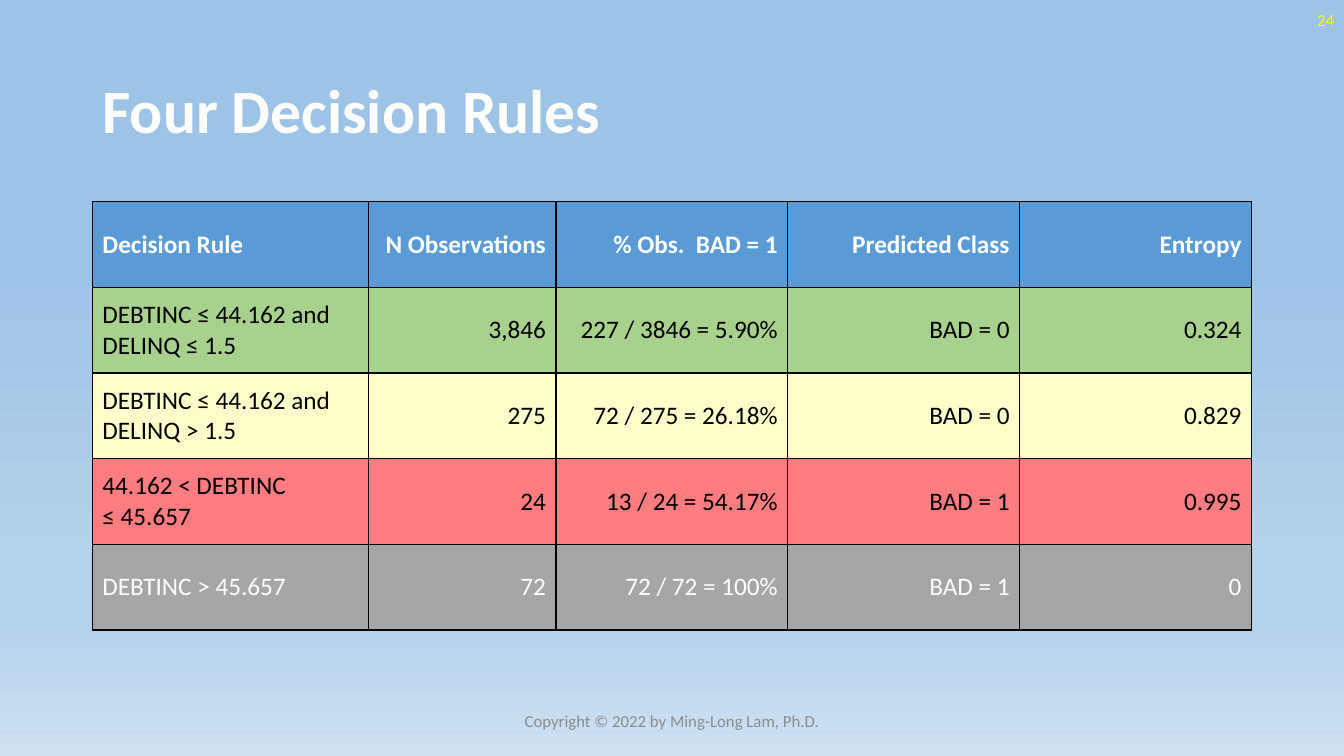
from lxml import etree
from pptx import Presentation
from pptx.dml.color import RGBColor
from pptx.enum.text import MSO_ANCHOR, PP_ALIGN
from pptx.oxml.ns import qn
from pptx.util import Pt

LEFT, CENTER, RIGHT = PP_ALIGN.LEFT, PP_ALIGN.CENTER, PP_ALIGN.RIGHT
MIDDLE = MSO_ANCHOR.MIDDLE
FONT = "Calibri"

WHITE = RGBColor(0xFF, 0xFF, 0xFF)
BLACK = RGBColor(0x00, 0x00, 0x00)
BLUE = RGBColor(0x5B, 0x9B, 0xD5)
GREEN = RGBColor(0xA9, 0xD1, 0x8E)
CREAM = RGBColor(0xFF, 0xFF, 0xCC)
RED = RGBColor(0xFF, 0x7C, 0x80)
GRAY = RGBColor(0xA6, 0xA6, 0xA6)
FOOTER_GRAY = RGBColor(0x8C, 0x8C, 0x8C)
YELLOW = RGBColor(0xFF, 0xFF, 0x00)
SKY = RGBColor(0x9D, 0xC3, 0xE6)
PALE_SKY = RGBColor(0xB5, 0xD2, 0xEC)
HORIZON = RGBColor(0xCE, 0xE1, 0xF2)
BACKGROUND_STOPS = [(35, SKY), (74, PALE_SKY), (83, PALE_SKY), (100, HORIZON)]

COLUMN_WIDTHS = [197.3, 133.9, 165.6, 165.6, 165.6]
# Each row: fill, text colour, cell texts (a line break starts a paragraph)
RULES = [
    (BLUE, WHITE, ["Decision Rule", "N Observations", "% Obs.  BAD = 1",
                   "Predicted Class", "Entropy"]),
    (GREEN, BLACK, ["DEBTINC ≤ 44.162 and DELINQ ≤ 1.5", "3,846",
                    "227 / 3846 = 5.90%", "BAD = 0", "0.324"]),
    (CREAM, BLACK, ["DEBTINC ≤ 44.162 and DELINQ > 1.5", "275",
                    "72 / 275 = 26.18%", "BAD = 0", "0.829"]),
    (RED, BLACK, ["44.162 < DEBTINC\n≤ 45.657", "24",
                  "13 / 24 = 54.17%", "BAD = 1", "0.995"]),
    (GRAY, WHITE, ["DEBTINC > 45.657", "72", "72 / 72 = 100%", "BAD = 1", "0"]),
]


def write_text(text_frame, text, size, color, alignment=LEFT, bold=False):
    for index, line in enumerate(text.split("\n")):
        paragraph = text_frame.add_paragraph() if index else text_frame.paragraphs[0]
        paragraph.alignment = alignment
        run = paragraph.add_run()
        run.text = line
        run.font.name = FONT
        run.font.size = Pt(size)
        run.font.bold = bold
        run.font.color.rgb = color


def paint_background(slide):
    fill = slide.background.fill
    fill.gradient()
    fill.gradient_angle = 270
    stop_list = slide.element.find(".//" + qn("a:gsLst"))
    for stop in list(stop_list):
        stop_list.remove(stop)
    for percent, color in BACKGROUND_STOPS:
        stop = etree.SubElement(stop_list, qn("a:gs"), pos=str(percent * 1000))
        etree.SubElement(stop, qn("a:srgbClr"), val=str(color))


def add_title(slide, text, left, top, width, height):
    title = slide.shapes.title
    title.left, title.top, title.width, title.height = map(Pt, (left, top, width, height))
    title.text_frame.vertical_anchor = MIDDLE
    write_text(title.text_frame, text, 44, WHITE, bold=True)
    title.text_frame.paragraphs[0].line_spacing = 0.9


def add_label(slide, text, color, alignment, left, top, width, height):
    label = slide.shapes.add_textbox(Pt(left), Pt(top), Pt(width), Pt(height))
    label.text_frame.word_wrap = True
    label.text_frame.vertical_anchor = MIDDLE
    write_text(label.text_frame, text, 12, color, alignment)


def add_borders(cell):
    properties = cell._tc.get_or_add_tcPr()
    for side in ("a:lnL", "a:lnR", "a:lnT", "a:lnB"):
        line = etree.SubElement(properties, qn(side), w=str(Pt(1)))
        fill = etree.SubElement(line, qn("a:solidFill"))
        etree.SubElement(fill, qn("a:srgbClr"), val=str(BLACK))


def add_rule_table(slide, left, top, width, height):
    table = slide.shapes.add_table(len(RULES), len(COLUMN_WIDTHS), Pt(left), Pt(top),
                                   Pt(width), Pt(height)).table
    table.horz_banding = False
    for column, column_width in zip(table.columns, COLUMN_WIDTHS):
        column.width = Pt(column_width)
    for row_index, (fill, color, texts) in enumerate(RULES):
        table.rows[row_index].height = Pt(height / len(RULES))
        for column_index, text in enumerate(texts):
            cell = table.cell(row_index, column_index)
            add_borders(cell)
            cell.fill.solid()
            cell.fill.fore_color.rgb = fill
            cell.vertical_anchor = MIDDLE
            write_text(cell.text_frame, text, 18, color,
                       RIGHT if column_index else LEFT, bold=row_index == 0)


def main():
    presentation = Presentation()
    presentation.slide_width, presentation.slide_height = Pt(960), Pt(540)
    slide = presentation.slides.add_slide(presentation.slide_layouts[5])
    paint_background(slide)
    add_title(slide, "Four Decision Rules", 66, 28.8, 828, 104.4)
    add_rule_table(slide, 66, 144, 828, 306)
    add_label(slide, "Copyright © 2022 by Ming-Long Lam, Ph.D.", FOOTER_GRAY, CENTER,
              318, 500.5, 324, 28.8)
    add_label(slide, "24", YELLOW, RIGHT, 744, 0, 216, 28.8)
    presentation.save("out.pptx")


if __name__ == "__main__":
    main()
